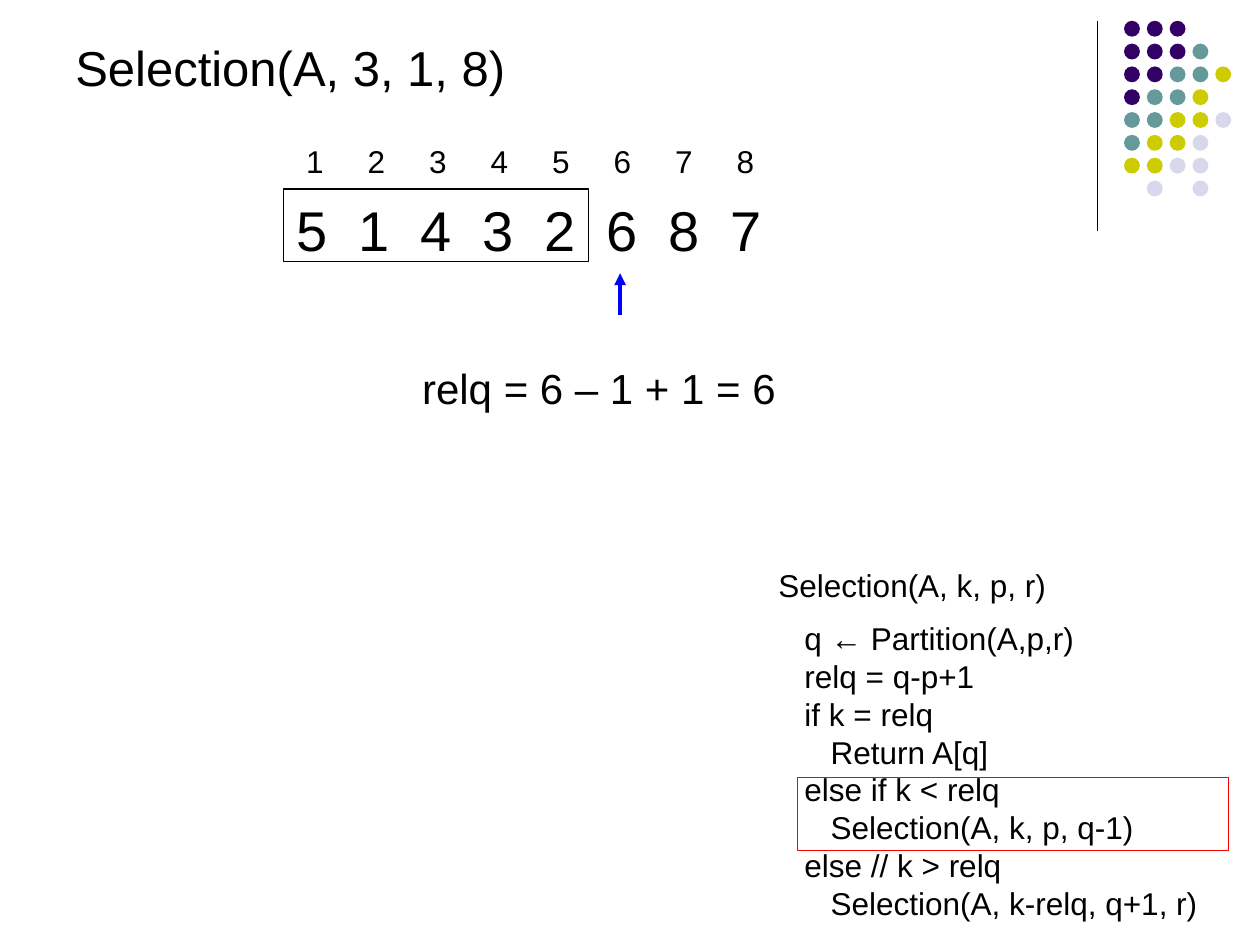
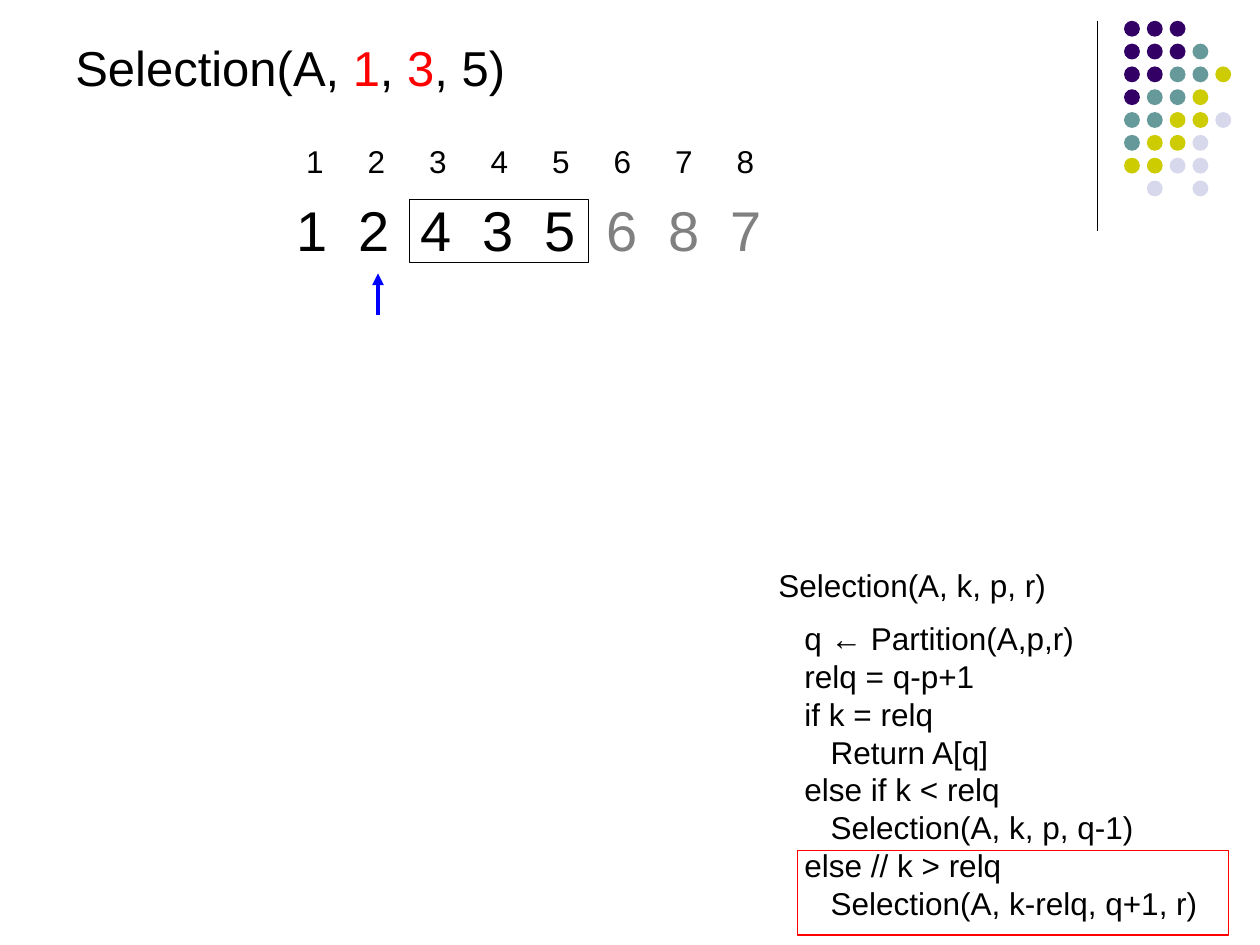
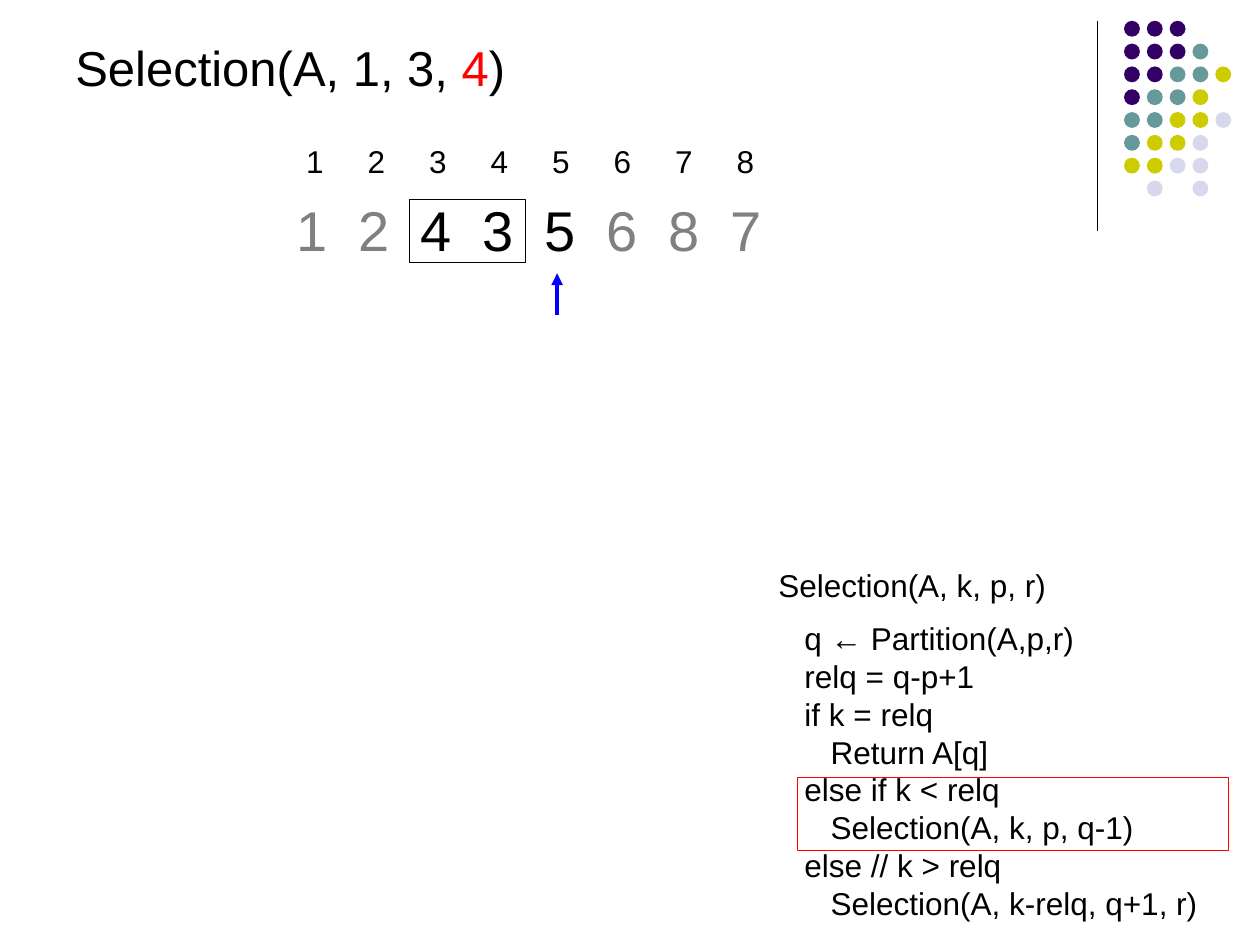
from dataclasses import dataclass

from lxml.etree import SubElement
from pptx import Presentation
from pptx.dml.color import RGBColor as RGB
from pptx.enum.shapes import MSO_CONNECTOR as LINK, MSO_SHAPE as SHAPE
from pptx.enum.text import MSO_AUTO_SIZE as FIT
from pptx.oxml.ns import qn
from pptx.util import Cm, Pt


@dataclass(frozen=True)
class Theme:
    font: str = "Arial"
    ink: RGB = RGB(0, 0, 0)
    dim: RGB = RGB(0x80, 0x80, 0x80)
    red: RGB = RGB(0xFF, 0, 0)
    blue: RGB = RGB(0, 0, 0xFF)
    plum: RGB = RGB(0x33, 0, 0x66)
    teal: RGB = RGB(0x66, 0x99, 0x99)
    lime: RGB = RGB(0xCC, 0xCC, 0)
    mist: RGB = RGB(0xD8, 0xD8, 0xEC)
    title: Pt = Pt(28)
    value: Pt = Pt(32)
    note: Pt = Pt(24)
    small: Pt = Pt(18)
    thin: Pt = Pt(0.75)
    bold: Pt = Pt(2.25)


T = Theme()

DOTS = ["ppp", "pppt", "ppttl", "ptty", "ttyym", "tyym", "yymm", " m m"]
DOTS[2:3] = ["pptty"]
HUES = {"p": T.plum, "t": T.teal, "y": T.lime, "m": T.mist}

HEAD = "Selection(A, k, p, r)"
CODE = [
    "   q ← Partition(A,p,r)",
    "   relq = q-p+1",
    "   if k = relq",
    "      Return A[q]",
    "   else if k < relq",
    "      Selection(A, k, p, q-1)",
    "   else // k > relq",
    "      Selection(A, k-relq, q+1, r)",
]
LESS = (16.08, 15.67, 8.69, 1.47)
MORE = (16.08, 17.15, 8.69, 1.7)

STEPS = [
    dict(
        title=[("Selection(A, 3, 1, 8)", T.ink)],
        row=[("51432687", T.ink)],
        frame=(5.72, 3.81, 6.15, 1.47),
        pivot=12.5,
        branch=LESS,
        note="relq = 6 – 1 + 1 = 6",
    ),
    dict(
        title=[("Selection(A, ", T.ink), ("1", T.red), (", ", T.ink),
               ("3", T.red), (", 5)", T.ink)],
        row=[("12435", T.ink), ("687", T.dim)],
        frame=(8.26, 4.02, 3.61, 1.27),
        pivot=7.62,
        branch=MORE,
    ),
    dict(
        title=[("Selection(A, 1, 3, ", T.ink), ("4", T.red), (")", T.ink)],
        row=[("12", T.dim), ("435", T.ink), ("687", T.dim)],
        frame=(8.26, 4.02, 2.34, 1.27),
        pivot=11.23,
        branch=LESS,
    ),
]


def lengths(at):
    return [Cm(n) for n in at]


def style(run, size, hue):
    run.font.name = T.font
    run.font.size = size
    run.font.color.rgb = hue


def box(slide, at):
    frame = slide.shapes.add_textbox(*lengths(at)).text_frame
    frame.word_wrap = True
    frame.auto_size = FIT.SHAPE_TO_FIT_TEXT
    return frame


def write(slide, at, size, text):
    """Add plain text in one colour; a newline starts a paragraph."""
    frame = box(slide, at)
    frame.text = text
    for para in frame.paragraphs:
        for run in para.runs:
            style(run, size, T.ink)
    return frame


def tint(slide, at, size, parts):
    """Add one line made of (text, colour) parts."""
    para = box(slide, at).paragraphs[0]
    for text, hue in parts:
        run = para.add_run()
        run.text = text
        style(run, size, hue)
    return para


def digits(slide, at, size, parts, pitch):
    """Add a row of single digits on evenly spaced tab stops."""
    spaced = [("\t" * (i > 0) + "\t".join(text), hue)
              for i, (text, hue) in enumerate(parts)]
    para = tint(slide, at, size, spaced)
    count = sum(len(text) for text, _ in parts)
    tabs = SubElement(para._p.get_or_add_pPr(), qn("a:tabLst"))
    for i in range(1, count):
        SubElement(tabs, qn("a:tab"), pos=str(Cm(pitch * i)), algn="l")


def outline(slide, at, hue):
    rect = slide.shapes.add_shape(SHAPE.RECTANGLE, *lengths(at))
    rect.shadow.inherit = False
    rect.fill.background()
    rect.line.color.rgb = hue
    rect.line.width = T.thin


def stroke(slide, ends, hue, width):
    line = slide.shapes.add_connector(LINK.STRAIGHT, *lengths(ends))
    line.line.color.rgb = hue
    line.line.width = width
    SubElement(line.element.spPr, qn("a:effectLst"))
    return line


def arrow(slide, ends):
    line = stroke(slide, ends, T.blue, T.bold)
    SubElement(line.line._get_or_add_ln(), qn("a:tailEnd"), type="triangle")


def dots(slide):
    group = slide.shapes.add_group_shape()
    for r, marks in enumerate(DOTS):
        for c, mark in enumerate(marks):
            if mark == " ":
                continue
            at = (22.66 + 0.46 * c, 0.42 + 0.46 * r, 0.32, 0.32)
            dot = group.shapes.add_shape(SHAPE.OVAL, *lengths(at))
            dot.shadow.inherit = False
            dot.fill.solid()
            dot.fill.fore_color.rgb = HUES[mark]
            dot.line.fill.background()
    return group


def adorn(slide):
    """Draw the rule and dots, then move them to the slide's layout."""
    layout = slide.slide_layout
    for spot in list(layout.placeholders):
        spot.element.getparent().remove(spot.element)
    rule = stroke(slide, (22.12, 0.42, 22.12, 4.65), T.ink, T.thin)
    for item in (rule, dots(slide)):
        layout.shapes.element.append(item.element)


def listing(slide):
    text = HEAD + "\n" + "\v".join(CODE)
    frame = write(slide, (15.44, 11.28, 9.53, 7.57), T.small, text)
    frame.paragraphs[1].space_before = Pt(9)


def fill(slide, step):
    listing(slide)
    tint(slide, (1.27, 0.64, 16.31, 1.45), T.title, step["title"])
    outline(slide, step["branch"], T.red)
    digits(slide, (5.72, 3.81, 11.63, 1.6), T.value, step["row"], 1.25)
    arrow(slide, (step["pivot"], 6.35, step["pivot"], 5.51))
    outline(slide, step["frame"], T.ink)
    digits(slide, (5.92, 2.74, 10.59, 1.02), T.small,
           [("12345678", T.ink)], 1.24)
    if "note" in step:
        write(slide, (8.26, 7.19, 9.73, 1.3), T.note, step["note"])


def main():
    deck = Presentation()
    deck.slide_width, deck.slide_height = Cm(25.4), Cm(19.05)
    blank = deck.slide_layouts[6]
    for i, step in enumerate(STEPS):
        slide = deck.slides.add_slide(blank)
        if i == 0:
            adorn(slide)
        fill(slide, step)
    deck.save("out.pptx")


if __name__ == "__main__":
    main()
